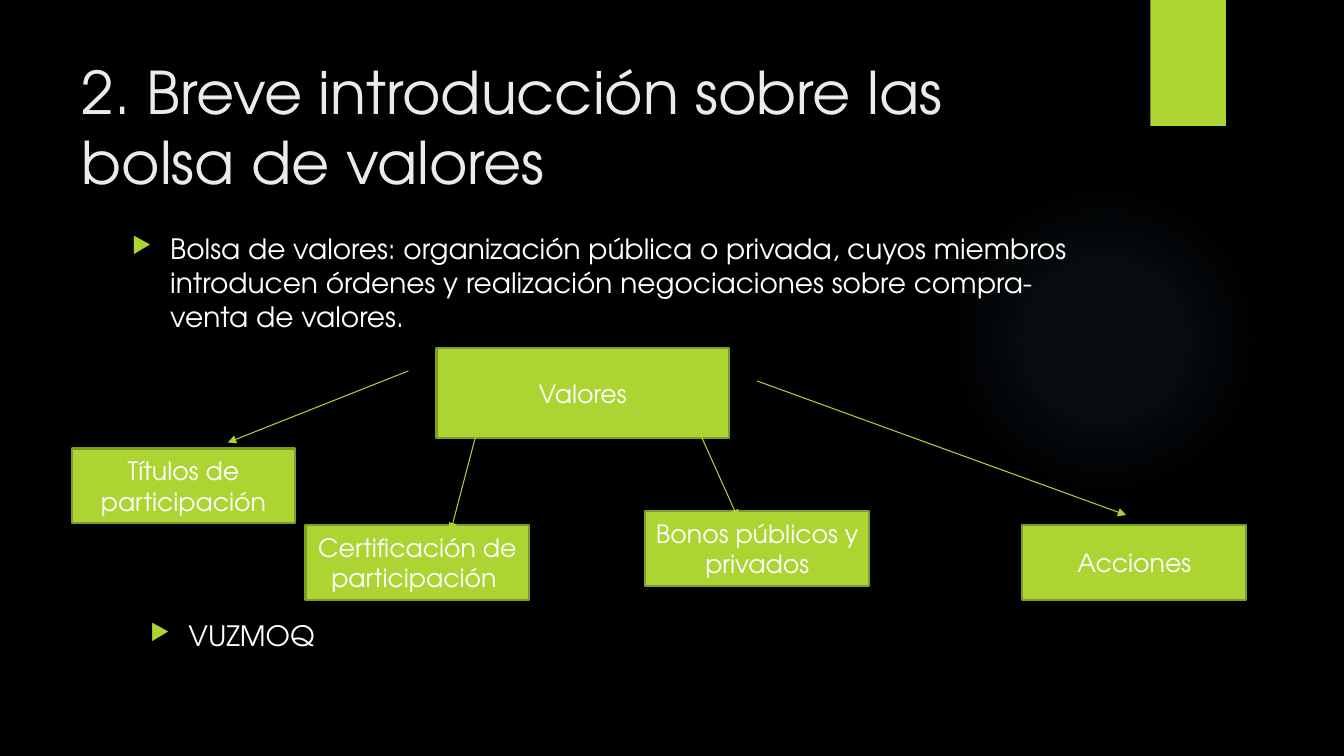
from dataclasses import dataclass

from pptx import Presentation
from pptx.dml.color import RGBColor
from pptx.enum.shapes import MSO_CONNECTOR, MSO_SHAPE
from pptx.enum.text import MSO_ANCHOR, PP_ALIGN
from pptx.oxml import parse_xml
from pptx.oxml.ns import nsdecls
from pptx.util import Inches, Pt


@dataclass(frozen=True)
class Theme:
    font: str = "TeX Gyre Adventor"
    back: str = "000000"
    glow: str = "7AC4F0"
    green: str = "ACD433"
    edge: str = "7F9D26"
    head: str = "EBEBEB"
    text: str = "FFFFFF"
    title: int = 42
    body: int = 20
    label: int = 18


THEME = Theme()


def color(code):
    return RGBColor.from_string(code)


def node(tag, attrs="", inner=""):
    return parse_xml(f"<a:{tag} {nsdecls('a')} {attrs}>{inner}</a:{tag}>")


def style(para, size, code):
    for run in para.runs:
        run.font.name = THEME.font
        run.font.size = Pt(size)
        run.font.color.rgb = color(code)


def add_shape(slide, kind, box, fill=THEME.green):
    shape = slide.shapes.add_shape(kind, *map(Inches, box))
    shape.shadow.inherit = False
    shape.fill.solid()
    shape.fill.fore_color.rgb = color(fill)
    shape.line.fill.background()
    return shape


def add_text(slide, box, text, size, code):
    frame = slide.shapes.add_textbox(*map(Inches, box)).text_frame
    frame.word_wrap = True
    frame.text = text
    para = frame.paragraphs[0]
    style(para, size, code)
    return para


def add_bullet(slide, box, text):
    para = add_text(slide, box, text, THEME.body, THEME.text)
    para.space_before = Pt(10)
    props = para._p.get_or_add_pPr()
    props.set("marL", str(Inches(0.38)))
    props.set("indent", str(Inches(-0.38)))
    props.append(node("buClr", inner=f'<a:srgbClr val="{THEME.green}"/>'))
    props.append(node("buSzPct", 'val="80000"'))
    props.append(node("buChar", 'char="▶"'))


def add_decor(slide, glow, flag):
    # Soft glow fading outwards
    orb = add_shape(slide, MSO_SHAPE.OVAL, glow, THEME.glow)
    stops = "".join(
        f'<a:gs pos="{pos}000"><a:srgbClr val="{THEME.glow}">'
        f'<a:alpha val="{alpha}000"/></a:srgbClr></a:gs>'
        for pos, alpha in ((0, 7), (36, 6), (69, 0))
    )
    center = '<a:fillToRect l="50000" t="50000" r="50000" b="50000"/>'
    grad = node("gradFill", inner=f"<a:gsLst>{stops}</a:gsLst>"
                f'<a:path path="circle">{center}</a:path>')
    props = orb._element.spPr
    props.replace(props.find(".//{*}solidFill"), grad)

    # Green flag with a shadow below
    band = add_shape(slide, MSO_SHAPE.RECTANGLE, flag)
    shade = node("outerShdw", f'blurRad="{Pt(3)}" dist="{Pt(2)}" dir="5400000" rotWithShape="0"',
                 '<a:srgbClr val="000000"><a:alpha val="45000"/></a:srgbClr>')
    band._element.spPr.find("{*}effectLst").append(shade)


def add_node(slide, box, text):
    shape = add_shape(slide, MSO_SHAPE.RECTANGLE, box)
    shape.line.color.rgb = color(THEME.edge)
    shape.line.width = Pt(1.5)
    frame = shape.text_frame
    frame.word_wrap = True
    frame.vertical_anchor = MSO_ANCHOR.MIDDLE
    frame.text = text
    para = frame.paragraphs[0]
    para.alignment = PP_ALIGN.CENTER
    style(para, THEME.label, THEME.text)


def add_arrow(slide, start, end):
    line = slide.shapes.add_connector(MSO_CONNECTOR.STRAIGHT, *map(Inches, start + end))
    line.line.color.rgb = color(THEME.green)
    line.line.width = Pt(0.75)
    line.line._get_or_add_ln().append(node("tailEnd", 'type="triangle"'))
    line._element.spPr.append(node("effectLst"))


def add_tree(slide, box):
    left, top, width, height = box
    # Root and its four kinds, offset from the corner of the tree
    add_node(slide, (left + 3.62, top, 2.9, 0.9), "Valores")
    size = (2.22, 0.74)
    kinds = (
        (0, 1, "Títulos de participación"),
        (2.32, height - size[1], "Certificación de participación "),
        (5.69, 1.62, "Bonos públicos y privados"),
        (width - size[0], height - size[1], "Acciones"),
    )
    for x, y, text in kinds:
        add_node(slide, (left + x, top + y, *size), text)

    # Arrows from the root to each kind
    arrows = (
        ((6.12, 0.6), (6.61, 1.69)),
        ((6.8, 0.33), (10.46, 1.66)),
        ((4.02, 0.83), (3.76, 1.82)),
        ((3.34, 0.23), (1.55, 0.94)),
    )
    for ends in arrows:
        add_arrow(slide, *((left + x, top + y) for x, y in ends))


def main():
    deck = Presentation()
    deck.slide_width, deck.slide_height = Inches(13.33), Inches(7.5)
    slide = deck.slides.add_slide(deck.slide_layouts[6])
    slide.background.fill.solid()
    slide.background.fill.fore_color.rgb = color(THEME.back)

    add_decor(slide, (9.41, 1.83, 3.08, 3.08), (11.41, 0, 0.75, 1.25))
    add_text(slide, (0.71, 0.5, 10.29, 1.53),
             "2. Breve introducción sobre las bolsa de valores", THEME.title, THEME.head)
    add_bullet(slide, (1.21, 2.25, 9.78, 1.21),
               "Bolsa de valores: organización pública o privada, cuyos miembros introducen "
               "órdenes y realización negociaciones sobre compra-venta de valores.")
    add_tree(slide, (0.71, 3.45, 11.65, 2.5))
    add_bullet(slide, (1.39, 6.09, 9.78, 1.21), "VUZMOQ")
    deck.save("out.pptx")


if __name__ == "__main__":
    main()
